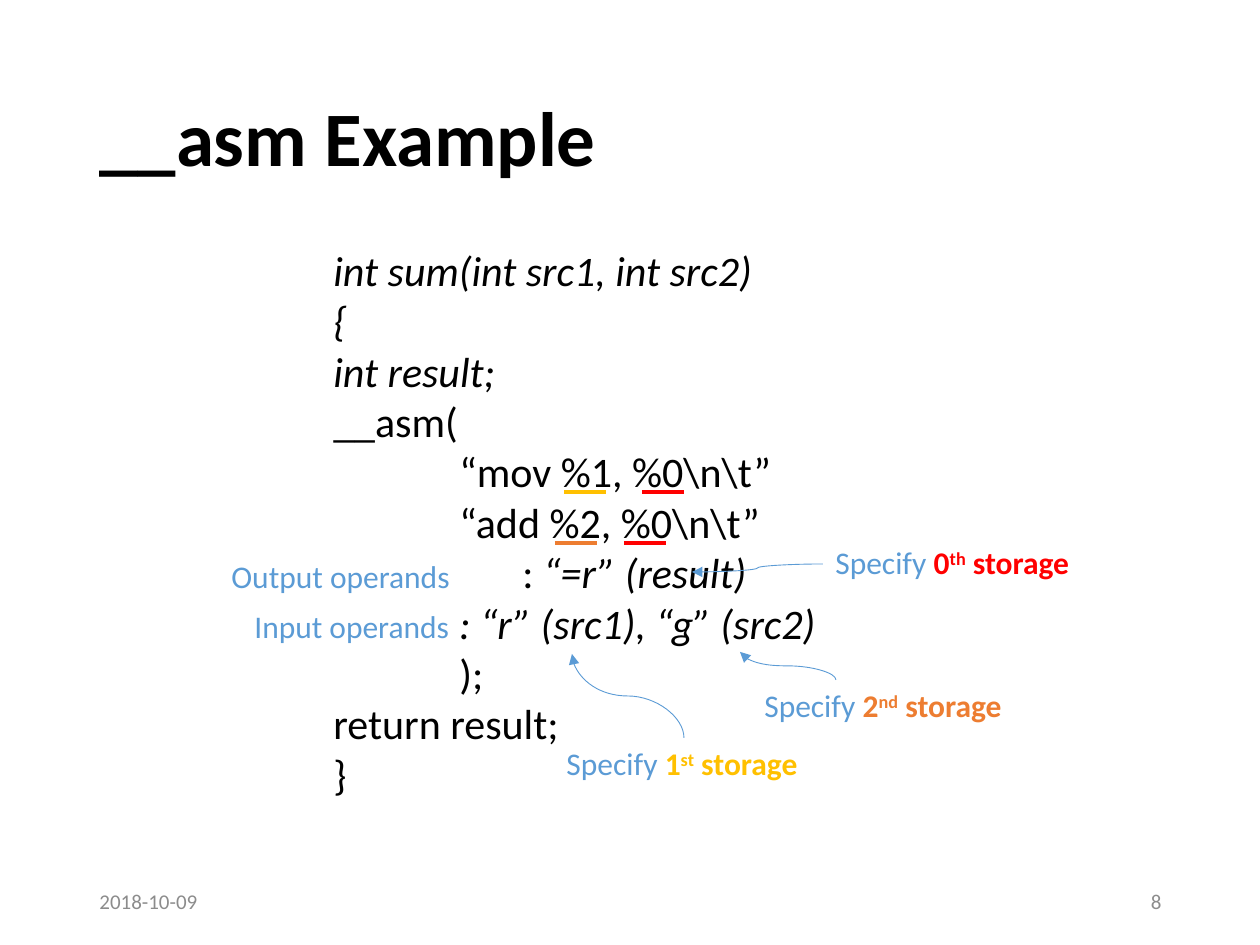
from dataclasses import dataclass

from lxml.etree import SubElement
from pptx import Presentation
from pptx.dml.color import RGBColor
from pptx.enum.shapes import MSO_CONNECTOR, MSO_SHAPE
from pptx.enum.text import MSO_ANCHOR, MSO_AUTO_SIZE, PP_ALIGN
from pptx.oxml.ns import qn
from pptx.util import Pt

SCALE = 914400 // 126


@dataclass(frozen=True)
class Theme:
    """Font, colours and sizes of the slide."""
    font: str = "Calibri"
    black: str = "000000"
    white: str = "FFFFFF"
    grey: str = "8C8C8C"
    blue: str = "5B9BD5"
    red: str = "FF0000"
    gold: str = "FFC000"
    orange: str = "ED7D31"
    title: int = 44
    code: int = 24
    label: int = 18
    footer: int = 12
    arrow: float = 0.5
    underline: float = 2.25


THEME = Theme()


def px(*lengths):
    """Turn picture pixels into EMU."""
    return [length * SCALE for length in lengths]


def style(span, size, color, bold=False, italic=False):
    """Format one run."""
    font = span.font
    font.name, font.size = THEME.font, Pt(size)
    font.bold, font.italic = bold, italic
    font.color.rgb = RGBColor.from_string(color)


def add_text(page, at, text, size, color, bold=False, align=PP_ALIGN.LEFT):
    """Add a wrapped, vertically centred one-paragraph box."""
    frame = page.shapes.add_textbox(*px(*at)).text_frame
    frame.word_wrap, frame.vertical_anchor = True, MSO_ANCHOR.MIDDLE
    frame.text = text
    para = frame.paragraphs[0]
    para.alignment = align
    style(para.runs[0], size, color, bold)
    return para


def add_label(page, at, text, ordinal=None, color=None):
    """Add a blue label, optionally followed by a coloured ordinal storage."""
    frame = page.shapes.add_textbox(*px(*at)).text_frame
    frame.word_wrap, frame.auto_size = False, MSO_AUTO_SIZE.SHAPE_TO_FIT_TEXT
    frame.text = text
    para = frame.paragraphs[0]
    style(para.runs[0], THEME.label, THEME.blue)
    if ordinal:
        number, suffix = ordinal
        for part in (number, suffix, " storage"):
            span = para.add_run()
            span.text = part
            style(span, THEME.label, color, bold=True)
            if part == suffix:
                span.font._element.set("baseline", "30000")


def add_code(page, at, lines):
    """Add the code box; a line is its indent in pixels and its (text, italic) runs."""
    box = page.shapes.add_shape(MSO_SHAPE.RECTANGLE, *px(*at))
    box.shadow.inherit = False
    box.fill.solid()
    box.fill.fore_color.rgb = RGBColor.from_string(THEME.white)
    box.line.color.rgb = RGBColor.from_string(THEME.white)
    box.line.width = Pt(1)
    frame = box.text_frame
    frame.word_wrap, frame.vertical_anchor = True, MSO_ANCHOR.MIDDLE
    for index, (indent, *parts) in enumerate(lines):
        para = frame.add_paragraph() if index else frame.paragraphs[0]
        para.alignment = PP_ALIGN.LEFT
        properties = para._p.get_or_add_pPr()
        properties.set("marL", str(indent * SCALE))
        properties.set("indent", "0")
        for text, italic in parts:
            span = para.add_run()
            span.text = text
            style(span, THEME.code, THEME.black, italic=italic)


def add_line(page, kind, start, end, color, width):
    """Add a connector without shadow."""
    line = page.shapes.add_connector(kind, *px(*start, *end))
    line.line.color.rgb = RGBColor.from_string(color)
    line.line.width = Pt(width)
    SubElement(line._element.spPr, qn("a:effectLst"))
    return line


def add_arrow(page, start, end, upright=False):
    """Add a curved arrow; an upright one leaves and arrives vertically."""
    if upright:
        # A quarter turn about the centre swaps the width and the height.
        across, down = (start[0] + end[0]) / 2, (start[1] + end[1]) / 2
        half_width, half_height = (start[1] - end[1]) / 2, (start[0] - end[0]) / 2
        start = round(across - half_width), round(down + half_height)
        end = round(across + half_width), round(down - half_height)
    arrow = add_line(page, MSO_CONNECTOR.CURVE, start, end, THEME.blue, THEME.arrow)
    if upright:
        arrow._element.spPr.find(qn("a:xfrm")).set("rot", str(270 * 60000))
    SubElement(arrow.line._get_or_add_ln(), qn("a:tailEnd"), type="triangle")


def main():
    """Build and save the slide."""
    deck = Presentation()
    deck.slide_width, deck.slide_height = px(1260, 945)
    page = deck.slides.add_slide(deck.slide_layouts[6])

    title = add_text(page, (87, 50, 1086, 183), "__asm Example",
                     THEME.title, THEME.black, bold=True)
    title.line_spacing = 0.9
    add_text(page, (87, 876, 284, 50), "2018-10-09", THEME.footer, THEME.grey)
    add_text(page, (890, 876, 284, 50), "8", THEME.footer, THEME.grey,
             align=PP_ALIGN.RIGHT)

    add_code(page, (321, 233, 616, 577), [
        (0, ("int sum(int src1, int src2)", True)),
        (0, ("{", True)),
        (0, ("int result;", True)),
        (0, ("__asm(", False)),
        (126, ("“mov %1, %0\\n\\t”", False)),
        (126, ("“add %2, %0\\n\\t”", False)),
        (189, (": ", False), ("“=r” (result)", True)),
        (126, (": “r” (src1), “g” (src2)", True)),
        (126, (");", False)),
        (0, ("return result;", False)),
        (0, ("}", False)),
    ])

    add_label(page, (823, 537, 271, 50), "Specify ", ("0", "th"), THEME.red)
    add_label(page, (554, 738, 260, 50), "Specify ", ("1", "st"), THEME.gold)
    add_label(page, (752, 680, 266, 50), "Specify ", ("2", "nd"), THEME.orange)
    add_label(page, (242, 601, 223, 50), "Input operands")
    add_label(page, (219, 551, 247, 50), "Output operands")

    add_arrow(page, (823, 564), (692, 572))
    add_arrow(page, (684, 738), (572, 654), upright=True)
    add_arrow(page, (835, 680), (740, 652), upright=True)

    for left, top, color in ((642, 492, THEME.red), (624, 543, THEME.red),
                             (564, 492, THEME.gold), (555, 543, THEME.orange)):
        add_line(page, MSO_CONNECTOR.STRAIGHT, (left, top), (left + 42, top),
                 color, THEME.underline)

    deck.save("out.pptx")


main()
